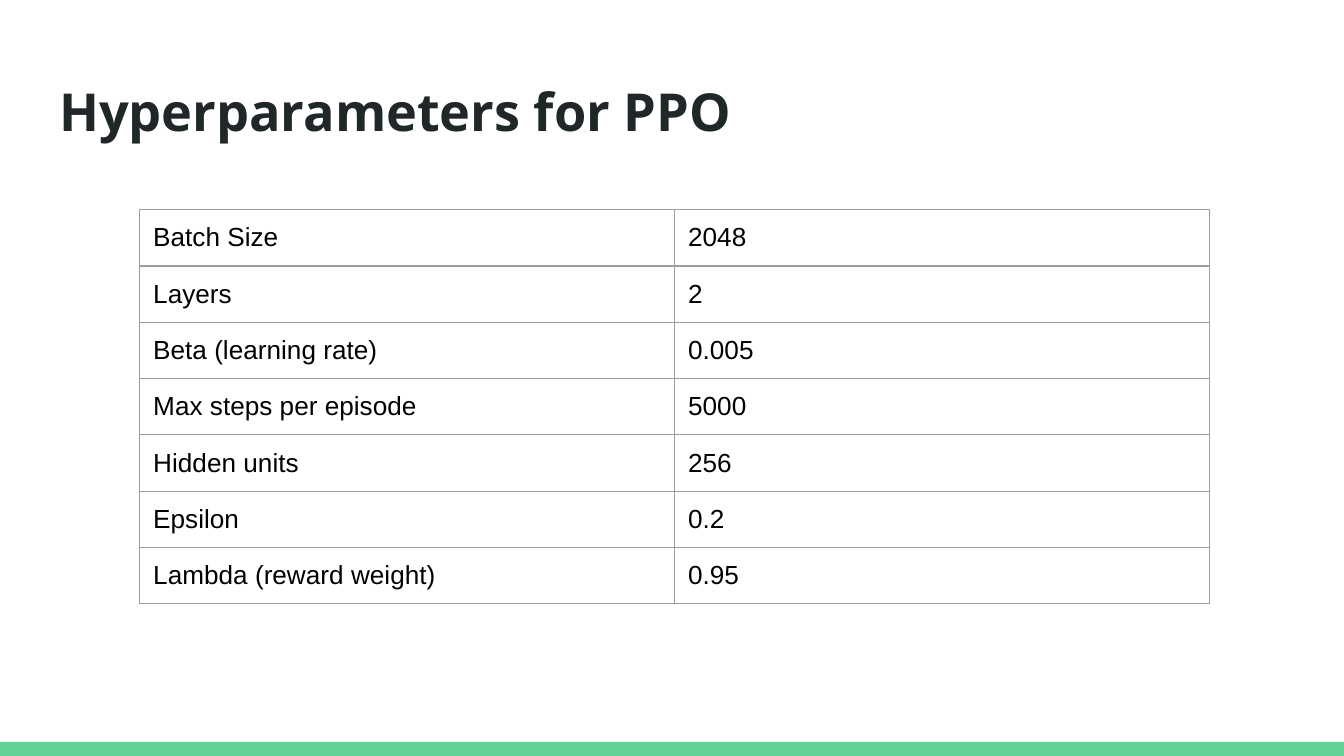
"""Build a slide that lists the hyperparameters for PPO in a table."""
import typing

import lxml.etree
import pptx
import pptx.dml.color
import pptx.enum.shapes
import pptx.enum.text
import pptx.oxml.ns
import pptx.util

Inches = pptx.util.Inches
RGBColor = pptx.dml.color.RGBColor

INK = RGBColor(0x20, 0x27, 0x29)
BLACK = RGBColor(0x00, 0x00, 0x00)
GREEN = RGBColor(0x63, 0xD2, 0x97)
GRAY = RGBColor(0x9E, 0x9E, 0x9E)

WIDTH = Inches(10)
HEIGHT = WIDTH * 9 // 16
ROW = Inches(5) // 12


class Param(typing.NamedTuple):
    name: str
    value: str


PARAMS = [
    Param("Batch Size", "2048"),
    Param("Layers", "2"),
    Param("Beta (learning rate)", "0.005"),
    Param("Max steps per episode", "5000"),
    Param("Hidden units", "256"),
    Param("Epsilon", "0.2"),
    Param("Lambda (reward weight)", "0.95"),
]


def add_run(para, text: str, face: str, size: float, color: RGBColor, bold: bool = False) -> None:
    run = para.add_run()
    run.text = text
    run.font.name = face
    run.font.size = pptx.util.Pt(size)
    run.font.bold = bold
    run.font.color.rgb = color


def add_edges(cell) -> None:
    qn = pptx.oxml.ns.qn
    props = cell._tc.get_or_add_tcPr()
    for side in ("a:lnL", "a:lnR", "a:lnT", "a:lnB"):
        line = lxml.etree.SubElement(props, qn(side), w=str(pptx.util.Pt(0.75)))
        fill = lxml.etree.SubElement(line, qn("a:solidFill"))
        lxml.etree.SubElement(fill, qn("a:srgbClr"), val=str(GRAY))


def fill_cell(cell, text: str) -> None:
    cell.margin_left = cell.margin_right = Inches(0.1)
    cell.margin_top = cell.margin_bottom = Inches(0.1)
    add_edges(cell)
    cell.fill.background()
    add_run(cell.text_frame.paragraphs[0], text, "Arial", 14, BLACK)


def add_params(slide, params: list[Param]) -> None:
    frame = slide.shapes.add_table(
        len(params), 2, Inches(1.04), Inches(1.56), Inches(7.96), ROW * len(params)
    )
    table = frame.table
    table.first_row = table.horz_banding = False
    for row, param in enumerate(params):
        for col, text in enumerate(param):
            fill_cell(table.cell(row, col), text)


def add_bar(slide) -> None:
    bar = slide.shapes.add_shape(
        pptx.enum.shapes.MSO_SHAPE.RECTANGLE, 0, Inches(5.52), WIDTH, HEIGHT - Inches(5.52)
    )
    bar.shadow.inherit = False
    bar.fill.solid()
    bar.fill.fore_color.rgb = GREEN
    bar.line.fill.background()


def set_title(slide, text: str) -> None:
    title = slide.shapes.title
    title.left, title.top = Inches(0.34), Inches(0.49)
    title.width, title.height = Inches(9.32), Inches(0.63)
    frame = title.text_frame
    frame.word_wrap = True
    frame.auto_size = pptx.enum.text.MSO_AUTO_SIZE.NONE
    frame.vertical_anchor = pptx.enum.text.MSO_ANCHOR.MIDDLE
    frame.margin_left = frame.margin_right = frame.margin_top = Inches(0.1)
    frame.margin_bottom = Inches(0.06)
    para = frame.paragraphs[0]
    para.alignment = pptx.enum.text.PP_ALIGN.LEFT
    add_run(para, text, "Open Sans", 28, INK, bold=True)


def main() -> None:
    deck = pptx.Presentation()
    deck.slide_width, deck.slide_height = WIDTH, HEIGHT
    slide = deck.slides.add_slide(deck.slide_layouts[5])
    add_bar(slide)
    set_title(slide, "Hyperparameters for PPO")
    add_params(slide, PARAMS)
    deck.save("out.pptx")


if __name__ == "__main__":
    main()
